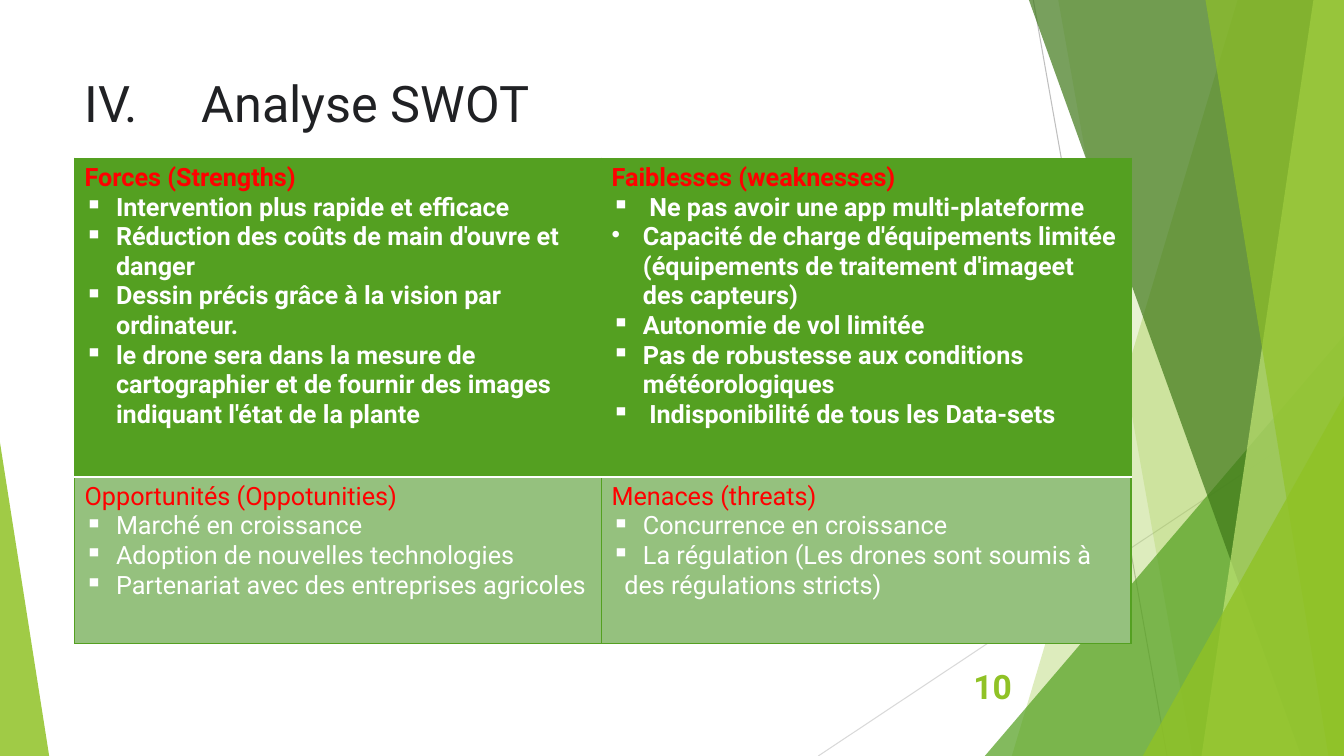
import pptx
import pptx.util
import pptx.dml.color
import pptx.enum.shapes
import pptx.enum.text
import pptx.oxml
import pptx.oxml.ns
from lxml import etree

Cm, Pt = pptx.util.Cm, pptx.util.Pt
Shape = pptx.enum.shapes.MSO_SHAPE
Align = pptx.enum.text.PP_ALIGN
Anchor = pptx.enum.text.MSO_ANCHOR
qn = pptx.oxml.ns.qn

WIDE, HIGH = 33.87, 19.05
GREEN, LIME, WHITE, RED, INK = "54A021", "90C226", "FFFFFF", "FF0000", "202124"
PALE = "95C17E"


def color(code):
    return pptx.dml.color.RGBColor.from_string(code)


class Deck:
    """Holds the style and the current slide."""
    face = "Roboto"

    def __init__(self):
        self.prs = pptx.Presentation()
        self.prs.slide_width, self.prs.slide_height = Cm(WIDE), Cm(HIGH)
        self.slide = self.prs.slides.add_slide(self.prs.slide_layouts[5])
        self.shapes = self.slide.shapes

    def style(self, para, size, code, bold=False):
        font = para.font
        font.name, font.size, font.bold = self.face, Pt(size), bold
        font.color.rgb = color(code)

    def paint(self, shape, code, alpha):
        shape.shadow.inherit = False
        shape.line.fill.background()
        shape.fill.solid()
        shape.fill.fore_color.rgb = color(code)
        tone = shape.element.spPr.find(qn("a:solidFill"))[0]
        etree.SubElement(tone, qn("a:alpha"), val=str(alpha * 1000))

    def line(self, x1, y1, x2, y2, code):
        kind = pptx.enum.shapes.MSO_CONNECTOR.STRAIGHT
        line = self.shapes.add_connector(kind, Cm(x1), Cm(y1), Cm(x2), Cm(y2))
        line.line.color.rgb, line.line.width = color(code), Pt(0.75)
        etree.SubElement(line.element.spPr, qn("a:effectLst"))

    def band(self, top, foot, code, alpha):
        """Panel from a slanted left edge to the right side of the slide."""
        pen = self.shapes.build_freeform(Cm(top), 0)
        ends = [(WIDE, 0), (WIDE, HIGH), (foot, HIGH)]
        pen.add_line_segments([(Cm(x), Cm(y)) for x, y in ends], close=True)
        self.paint(pen.convert_to_shape(), code, alpha)

    def wedge(self, left, top, width, peak, code, alpha):
        """Triangle that stands on the bottom of the slide."""
        shape = self.shapes.add_shape(Shape.ISOSCELES_TRIANGLE, Cm(left), Cm(top),
                                      Cm(width), Cm(HIGH - top))
        shape.adjustments[0] = peak
        self.paint(shape, code, alpha)

    def title(self, text, left, top, width, height, stop):
        title = self.shapes.title
        title.left, title.top = Cm(left), Cm(top)
        title.width, title.height = Cm(width), Cm(height)
        frame = title.text_frame
        frame.text = text
        frame.auto_size = pptx.enum.text.MSO_AUTO_SIZE.NONE
        frame.vertical_anchor = Anchor.TOP
        para = frame.paragraphs[0]
        para.alignment = Align.LEFT
        self.style(para, 36, INK)
        tabs = etree.Element(qn("a:tabLst"))
        etree.SubElement(tabs, qn("a:tab"), pos=str(Cm(stop)), algn="l")
        para.font  # the tab list goes before the font
        para._p.pPr.find(qn("a:defRPr")).addprevious(tabs)
        title.element.getparent().append(title.element)

    def label(self, text, left, top, width, height):
        box = self.shapes.add_textbox(Cm(left), Cm(top), Cm(width), Cm(height))
        frame = box.text_frame
        frame.word_wrap = True
        frame.vertical_anchor = Anchor.MIDDLE
        frame.text = text
        frame.paragraphs[0].alignment = Align.RIGHT
        self.style(frame.paragraphs[0], 24, LIME, True)

    def bullet(self, para, mark, left, hang):
        props = para._p.get_or_add_pPr()
        props.set("marL", str(Cm(left)))
        props.set("indent", str(-Cm(hang)))
        if mark:
            sign = etree.Element(qn("a:buChar"), char=mark)
            props.insert(0, sign)

    def edge(self, cell, side, code, width):
        xml = (f'<a:ln{side} {pptx.oxml.ns.nsdecls("a")} w="{Pt(width)}"><a:solidFill>'
               f'<a:srgbClr val="{code}"/></a:solidFill></a:ln{side}>')
        props = cell._tc.get_or_add_tcPr()
        props.insert("LRTB".index(side), pptx.oxml.parse_xml(xml))

    def cell(self, cell, head, items, fill, bold):
        cell.fill.solid()
        cell.fill.fore_color.rgb = color(fill)
        frame = cell.text_frame
        frame.text = "\n".join([head] + [text for _, text in items])
        for para in frame.paragraphs:
            self.style(para, 18, WHITE, bold)
        self.style(frame.paragraphs[0], 18, RED, bold)
        for para, (mark, _) in zip(frame.paragraphs[1:], items):
            self.bullet(para, mark, *((0.79, 0.79) if mark else (0.32, 0)))

    def table(self, left, top, widths, heights, quads):
        table = self.shapes.add_table(2, 2, Cm(left), Cm(top), Cm(sum(widths)),
                                      Cm(sum(heights))).table
        table.first_row = table.horz_banding = False
        for i in range(2):
            table.columns[i].width = Cm(widths[i])
            table.rows[i].height = Cm(heights[i])
        for i, (head, items) in enumerate(quads):
            row, col = divmod(i, 2)
            cell = table.cell(row, col)
            self.cell(cell, head, items, PALE if row else GREEN, not row)
            for side in "LRTB":
                inner = side == "BT"[row]
                self.edge(cell, side, WHITE if inner else GREEN, 1.5 if inner else 1)


def main():
    deck = Deck()

    # Background lines and panels
    deck.line(26.04, 0, 29.41, HIGH, "BFBFBF")
    deck.line(WIDE, 10.24, 20.62, HIGH, "D9D9D9")
    deck.band(31.19, 25.5, LIME, 30)
    deck.band(26.67, 30.05, LIME, 20)
    deck.wedge(24.82, 8.46, 9.05, 1, GREEN, 72)
    deck.band(25.93, 32.79, "3F7819", 70)
    deck.band(33.1, 30.28, "C0E474", 70)
    deck.band(30.38, 33.48, LIME, 65)
    deck.wedge(28.8, 9.98, 5.07, 1, LIME, 80)
    deck.wedge(0, 11.15, 1.24, 0, LIME, 85)

    # Title and page number
    deck.title("IV.\tAnalyse SWOT", 1.88, 1.7, 23.88, 3.66, 2.94)
    deck.label("10", 23.85, 16.79, 1.9, 1.02)

    # SWOT table
    box, dot = "▪", "•"
    quads = [
        ("Forces (Strengths)", [
            (box, "Intervention plus rapide et efficace"),
            (box, "Réduction des coûts de main d'ouvre et danger"),
            (box, "Dessin précis grâce à la vision par ordinateur."),
            (box, "le drone sera dans la mesure de cartographier et de fournir "
                  "des images indiquant l'état de la plante")]),
        ("Faiblesses (weaknesses)", [
            (box, " Ne pas avoir une app multi-plateforme"),
            (dot, "Capacité de charge d'équipements limitée "
                  "(équipements de traitement d'imageet des capteurs)"),
            (box, "Autonomie de vol limitée"),
            (box, "Pas de robustesse aux conditions météorologiques"),
            (box, " Indisponibilité de tous les Data-sets")]),
        ("Opportunités (Oppotunities)", [
            (box, "Marché en croissance"),
            (box, "Adoption de nouvelles technologies"),
            (box, "Partenariat avec des entreprises agricoles")]),
        ("Menaces (threats)", [
            (box, "Concurrence en croissance"),
            (box, "La régulation (Les drones sont soumis à"),
            (None, "des régulations stricts)")]),
    ]
    deck.table(1.88, 3.99, (13.28, 13.34), (8.03, 4.19), quads)

    deck.prs.save("out.pptx")


if __name__ == "__main__":
    main()
